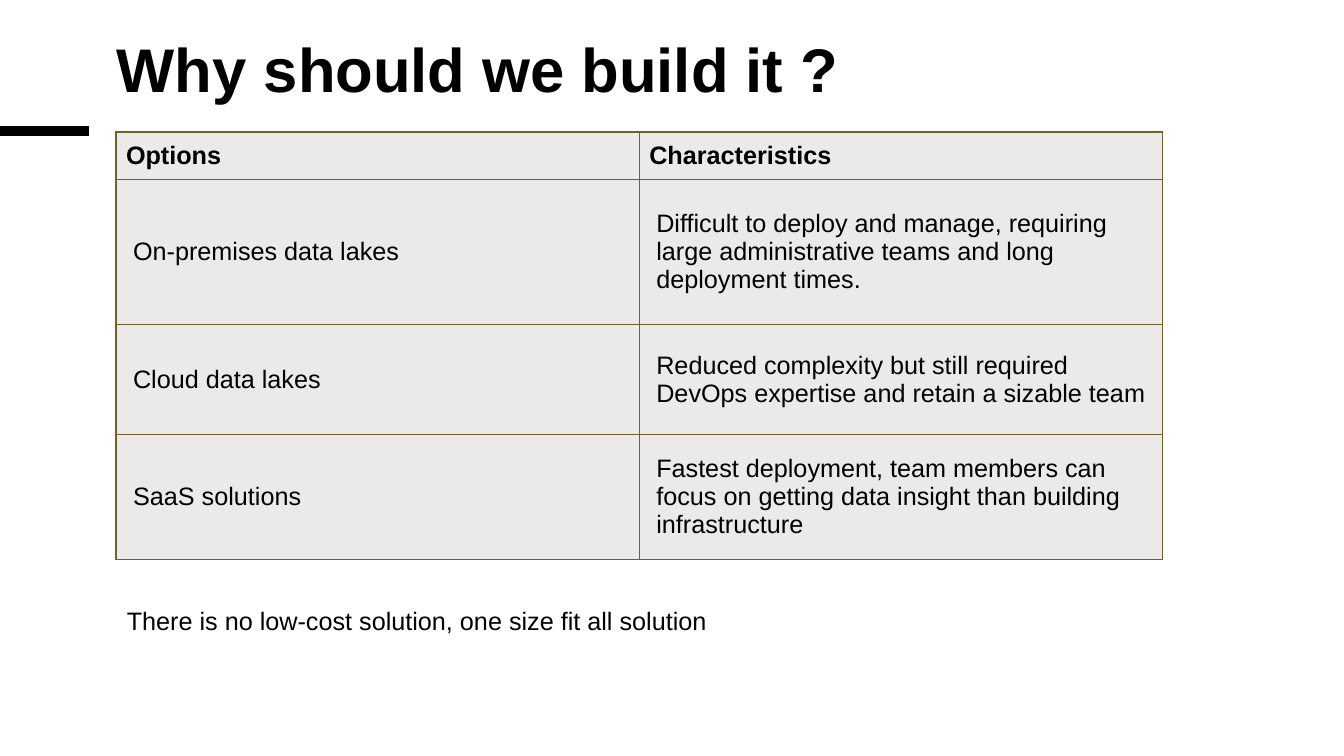
from lxml import etree
from pptx import Presentation
from pptx.dml.color import RGBColor
from pptx.enum import shapes, text
from pptx.oxml import ns
from pptx.util import Inches, Pt

COLORS = {"ink": "000000", "cell": "ECEAE8", "border": "756029"}


def write(frame, wording, size=18, bold=False, spacing=None):
    frame.word_wrap = True
    paragraph = frame.paragraphs[0]
    paragraph.line_spacing = spacing
    run = paragraph.add_run()
    run.text = wording
    run.font.name = "Arial"
    run.font.size = Pt(size)
    run.font.bold = bold
    run.font.color.rgb = RGBColor.from_string(COLORS["ink"])


def add_borders(cell, width=1):
    properties = cell._tc.get_or_add_tcPr()
    for index, side in enumerate(("lnL", "lnR", "lnT", "lnB")):
        line = etree.Element(ns.qn(f"a:{side}"), w=str(Pt(width)))
        fill = etree.SubElement(line, ns.qn("a:solidFill"))
        etree.SubElement(fill, ns.qn("a:srgbClr"), val=COLORS["border"])
        properties.insert(index, line)


prs = Presentation()
prs.slide_width, prs.slide_height = Inches(13.33), Inches(7.5)
slide = prs.slides.add_slide(prs.slide_layouts[6])

# Accent bar at the left edge
accent = slide.shapes.add_connector(
    shapes.MSO_CONNECTOR.STRAIGHT, Inches(0), Inches(1.3), Inches(0.88), Inches(1.3))
accent.line.width = Pt(6.75)
accent.line.color.rgb = RGBColor.from_string(COLORS["ink"])
etree.SubElement(accent._element.spPr, ns.qn("a:effectLst"))

# Title
title = slide.shapes.add_textbox(Inches(1.06), Inches(0.32), Inches(10.85), Inches(1.42))
title.text_frame.margin_top = Inches(0.1)
write(title.text_frame, "Why should we build it ?", size=44, bold=True, spacing=0.85)

# Table of options
options = [
    (0.47, "Options", "Characteristics"),
    (1.44, "On-premises data lakes",
     "Difficult to deploy and manage, requiring large administrative teams "
     "and long deployment times."),
    (1.09, "Cloud data lakes",
     "Reduced complexity but still required DevOps expertise and retain a sizable team"),
    (1.09, "SaaS solutions",
     "Fastest deployment, team members can focus on getting data insight "
     "than building infrastructure"),
]
table = slide.shapes.add_table(
    len(options), 2, Inches(1.15), Inches(1.31), Inches(10.38), Inches(4.09)).table
table.first_row = table.horz_banding = False
for column in table.columns:
    column.width = Inches(5.19)

for row, (height, *wordings) in enumerate(options):
    table.rows[row].height = Inches(height)
    for column, wording in enumerate(wordings):
        cell = table.cell(row, column)
        cell.vertical_anchor = text.MSO_ANCHOR.MIDDLE
        if row > 0:
            cell.margin_left = cell.margin_right = Inches(0.17)
            cell.margin_top = cell.margin_bottom = Inches(0.17)
        cell.fill.solid()
        cell.fill.fore_color.rgb = RGBColor.from_string(COLORS["cell"])
        add_borders(cell)
        write(cell.text_frame, wording, bold=row == 0)

# Closing remark
remark = slide.shapes.add_textbox(Inches(1.16), Inches(5.96), Inches(9.87), Inches(0.4))
write(remark.text_frame, "There is no low-cost solution, one size fit all solution")

prs.save("out.pptx")
